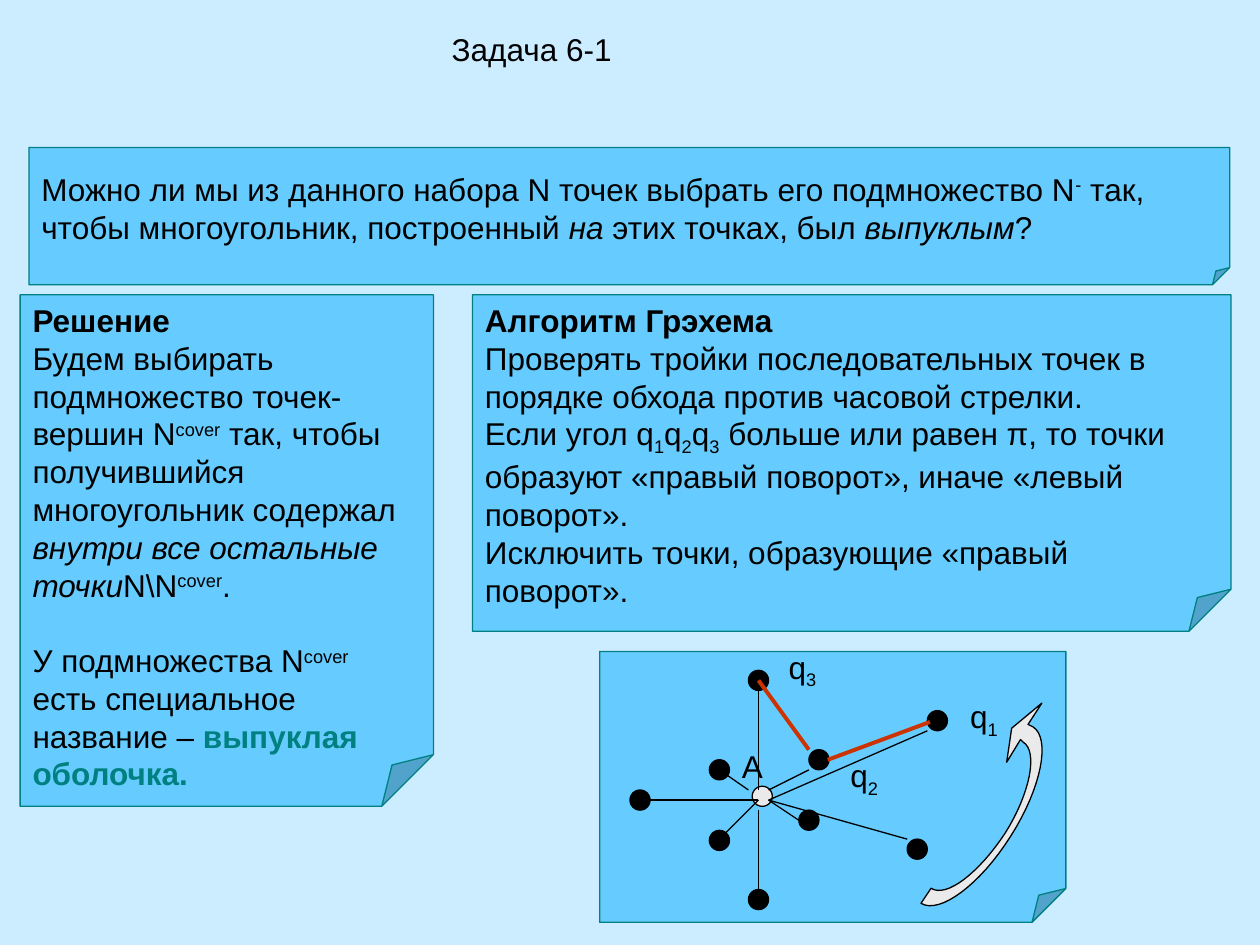
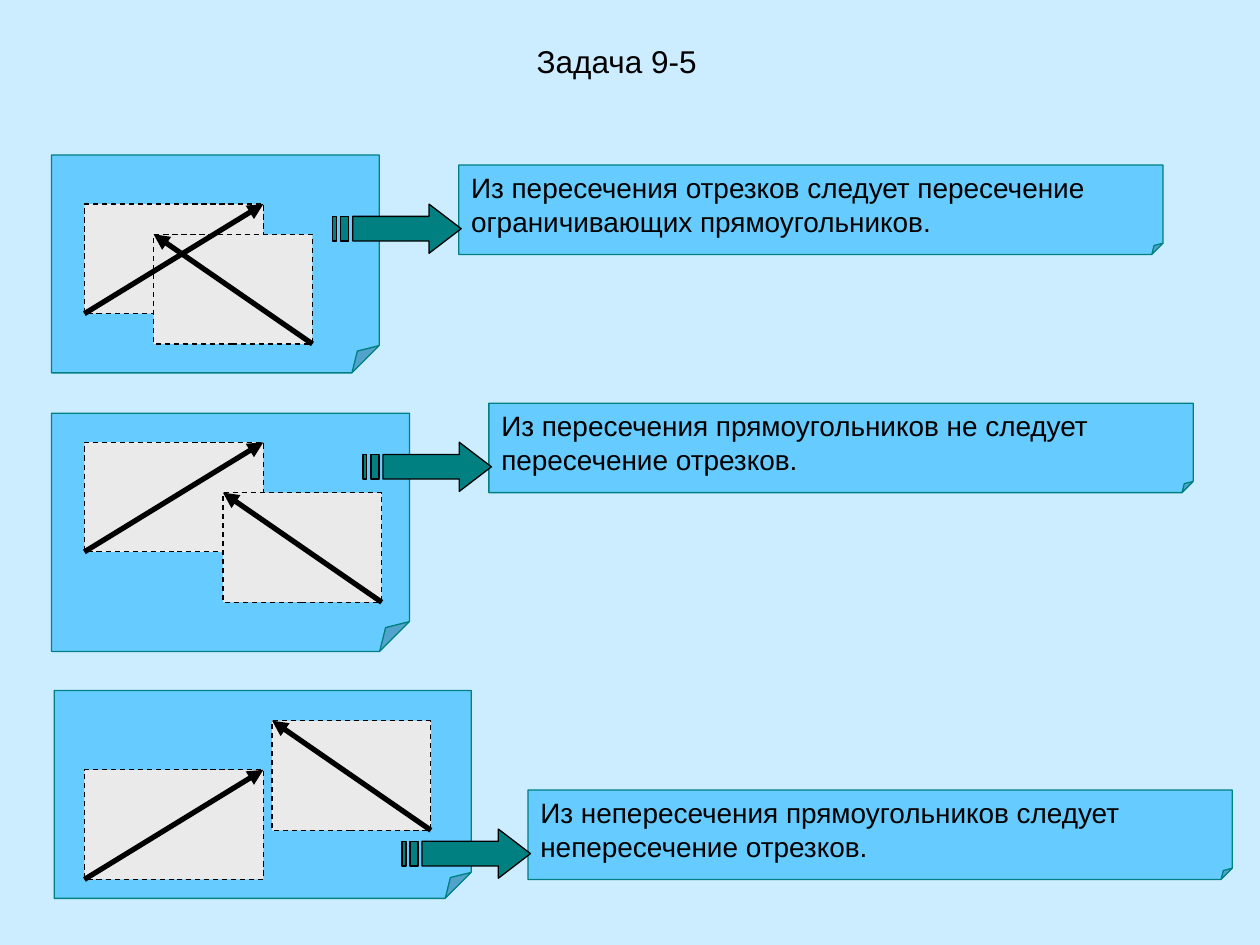
from collections import namedtuple

from lxml import etree
from pptx import Presentation
from pptx import util as u
from pptx.dml.color import RGBColor
from pptx.enum import dml, shapes, text
from pptx.oxml import ns

# Slide grid: 100 columns by 75 rows
COLUMNS, ROWS = 100, 75
WIDTH, HEIGHT = u.Inches(10), u.Inches(7.5)
CELL = WIDTH // COLUMNS

SKY, PANEL, TEAL = "CCECFF", "66CCFF", "008080"
PALE, INK, RED = "EAEAEA", "000000", "CC3300"
FONT, HAIRLINE, TITLE_SIZE = "Arial", 0.75, 18
FOLD = 0.125

BOLD, ITALIC = {"bold": True}, {"italic": True}
SUPER, SUB = 30, -25

Box = namedtuple("Box", "x y w h")


def inside(box, x, y, w=0, h=0):
    return Box(box.x + x, box.y + y, w, h)


def emu(*cells):
    return [round(cell * CELL) for cell in cells]


def color(hex_value):
    return RGBColor.from_string(hex_value)


def assign(target, values):
    for name, value in values.items():
        setattr(target, name, value)


def paint(shape, fill, line=INK, width=HAIRLINE, dash=None):
    shape.shadow.inherit = False
    shape.fill.solid()
    shape.fill.fore_color.rgb = color(fill)
    shape.line.color.rgb = color(line)
    assign(shape.line, {"width": u.Pt(width), "dash_style": dash})


def write(frame, paragraphs, size=18, anchor="TOP", align="LEFT", wrap=True):
    """A paragraph is a list of runs; a run is a string or (string, style)."""
    assign(frame, {
        "word_wrap": wrap, "auto_size": text.MSO_AUTO_SIZE.NONE,
        "vertical_anchor": text.MSO_ANCHOR[anchor],
        "margin_left": u.Inches(0.1), "margin_right": u.Inches(0.1),
        "margin_top": u.Inches(0.05), "margin_bottom": u.Inches(0.05)})
    for index, runs in enumerate(paragraphs):
        paragraph = frame.add_paragraph() if index else frame.paragraphs[0]
        paragraph.alignment = text.PP_ALIGN[align]
        for item in runs:
            words, style = (item, {}) if isinstance(item, str) else item
            run = paragraph.add_run()
            run.text = words
            if isinstance(style, int):
                run._r.get_or_add_rPr().set("baseline", str(style * 1000))
                style = {}
            values = {"name": FONT, "size": u.Pt(size), **style}
            run.font.color.rgb = color(values.pop("color", INK))
            assign(run.font, values)


def add_preset(slide, kind, box, fill, **look):
    shape = slide.shapes.add_shape(kind, *emu(*box))
    paint(shape, fill, **look)
    return shape


def add_panel(slide, box, paragraphs=(), **layout):
    panel = add_preset(slide, shapes.MSO_SHAPE.FOLDED_CORNER, box, PANEL, line=TEAL)
    # The library lists no adjustment for this preset
    geometry = panel._element.spPr.find(ns.qn("a:prstGeom"))
    for guides in geometry.findall(ns.qn("a:avLst")):
        geometry.remove(guides)
    guides = etree.SubElement(geometry, ns.qn("a:avLst"))
    etree.SubElement(guides, ns.qn("a:gd"), name="adj", fmla=f"val {FOLD * 100000:.0f}")
    write(panel.text_frame, paragraphs, **layout)
    return panel


def add_line(slide, box, start, end, line=INK, width=HAIRLINE, arrow=False):
    first, last = inside(box, *start), inside(box, *end)
    connector = slide.shapes.add_connector(
        shapes.MSO_CONNECTOR.STRAIGHT, *emu(first.x, first.y, last.x, last.y))
    connector.line.color.rgb = color(line)
    connector.line.width = u.Pt(width)
    if arrow:
        outline = connector.line._get_or_add_ln()
        etree.SubElement(outline, ns.qn("a:tailEnd"), type="triangle")
    etree.SubElement(connector._element.spPr, ns.qn("a:effectLst"))


def add_outline(slide, box, contours, fill):
    """Closed contours, each a list of points relative to the box."""
    placed = [[emu(box.x + x, box.y + y) for x, y in points] for points in contours]
    builder = slide.shapes.build_freeform(*placed[0][0], scale=1.0)
    for index, points in enumerate(placed):
        if index:
            builder.move_to(*points[0])
        builder.add_line_segments(points[1:], close=True)
    paint(builder.convert_to_shape(), fill)


def curve(p0, p1, p2, p3, steps=16):
    """Points of a cubic curve after its start."""
    shares = [step / steps for step in range(1, steps + 1)]
    return [tuple((1 - t) ** 3 * a + 3 * (1 - t) ** 2 * t * b
                  + 3 * (1 - t) * t ** 2 * c + t ** 3 * d
                  for a, b, c, d in zip(p0, p1, p2, p3)) for t in shares]


def new_slide(prs, heading, box):
    slide = prs.slides.add_slide(prs.slide_layouts[5])
    title = slide.shapes.title
    assign(title, dict(zip(("left", "top", "width", "height"), emu(*box))))
    write(title.text_frame, [[heading]], size=TITLE_SIZE, align="CENTER", wrap=False)
    return slide


# --- Convex hull slide ---

QUESTION = [[
    "Можно ли мы из данного набора N точек выбрать его подмножество N", ("-", SUPER),
    " так, чтобы многоугольник, построенный ", ("на", ITALIC),
    " этих точках, был ", ("выпуклым", ITALIC), "?"]]

SOLUTION = [
    [("Решение", BOLD)],
    ["Будем выбирать подмножество точек-вершин N", ("cover", SUPER),
     " так, чтобы получившийся многоугольник содержал ",
     ("внутри все остальные точки", ITALIC), "N\\N", ("cover", SUPER), "."],
    ["У подмножества N", ("cover", SUPER), " есть специальное название – ",
     ("выпуклая оболочка.", {"bold": True, "color": TEAL})]]

GRAHAM = [
    [("Алгоритм Грэхема", BOLD)],
    ["Проверять тройки последовательных точек в порядке обхода "
     "против часовой стрелки."],
    ["Если угол q", ("1", SUB), "q", ("2", SUB), "q", ("3", SUB),
     " больше или равен π, то точки образуют «правый поворот», "
     "иначе «левый поворот»."],
    ["Исключить точки, образующие «правый поворот»."]]

DOT = 1.6
POINTS = [(2.4, 11), (8.7, 14.2), (8.7, 8.6), (24.4, 14.9), (16.6, 7.8),
          (26, 4.7), (11.8, 1.5), (11.8, 18.9), (15.8, 12.6)]
CENTRE = (12.1, 10.7)
SPOKES = [((12.6, 12.6), (12.6, 18.9)), ((12.6, 11.8), (9.5, 14.9)),
          ((12.6, 11.8), (4, 11.8)), ((11.8, 11), (9.5, 9.4)),
          ((13.4, 11.8), (15.8, 13.4)), ((13.4, 11), (16.6, 9.4)),
          ((13.4, 11.8), (26, 6.3)), ((13.4, 11.8), (24.4, 14.9)),
          ((12.6, 11), (12.6, 3.1))]
TURN = [((16.6, 7.8), (12.6, 2.3)), ((18.1, 8.6), (26.2, 5.6))]
LABELS = [(["q", ("1", SUB)], (28.4, 3.1, 4.9, 4.4)),
          (["q", ("2", SUB)], (18.9, 7.8, 4.9, 4.4)),
          (["q", ("3", SUB)], (14, -0.8, 4.9, 4.4)),
          (["А"], (10.3, 7.1, 3.1, 4))]


def add_sweep_arrow(slide, box):
    inner, inner_mid, inner_end = (33.6, 7.2), (32.2, 14.4), (26.3, 18.8)
    outer, outer_mid, outer_end = (25.5, 20), (32.6, 14.7), (34.4, 6)
    head = [(34, 5.8), (35.1, 4.1), (32.7, 6.1), (32.3, 8.8)]
    add_outline(slide, box, [[
        (33.4, 7), inner,
        *curve(inner, (34.8, 7.9), (34.2, 11.2), inner_mid),
        *curve(inner_mid, (30.1, 17.6), (27.5, 19.6), inner_end),
        outer,
        *curve(outer, (27, 20.9), (30.2, 18.5), outer_mid),
        *curve(outer_mid, (35.1, 10.8), (35.8, 6.9), outer_end),
        *head]], PALE)


def add_point_diagram(slide, box):
    add_panel(slide, box)
    # Points of the set, then the pole
    for place, fill in [(point, INK) for point in POINTS] + [(CENTRE, PALE)]:
        add_preset(slide, shapes.MSO_SHAPE.OVAL, inside(box, *place, DOT, DOT), fill)
    # Point names
    for runs, place in LABELS:
        label = slide.shapes.add_textbox(*emu(*inside(box, *place)))
        write(label.text_frame, [runs])
    # Rays from the pole and the tested turn
    for start, end in SPOKES:
        add_line(slide, box, start, end)
    for start, end in TURN:
        add_line(slide, box, start, end, line=RED, width=2.25)
    add_sweep_arrow(slide, box)


def build_hull_slide(prs):
    slide = new_slide(prs, "Задача 6-1", Box(28.1, 1.9, 28.2, 7))
    add_panel(slide, Box(2.3, 11.7, 95.3, 10.9), QUESTION, anchor="MIDDLE")
    solution = add_panel(slide, Box(1.6, 23.4, 32.8, 40.6), SOLUTION)
    solution.text_frame.paragraphs[-1].space_before = u.Pt(21.5)
    add_panel(slide, Box(37.5, 23.4, 60.2, 26.7), GRAHAM)
    add_point_diagram(slide, Box(47.6, 51.7, 37, 21.5))


# --- Segment intersection slide ---

RISING, FALLING = (14.2, 8.7), (12.6, 8.7)
NOTE = (55.9, 7.1)
ARROW = (10.2, 3.9)
# Panel, rising and falling rectangles within it, corner of the note, note
CASES = [
    (Box(4.1, 12.3, 26, 17.3), (2.6, 3.9), (8.1, 6.3), (36.4, 13.1),
     "Из пересечения отрезков следует пересечение ограничивающих прямоугольников."),
    (Box(4.1, 32.8, 28.4, 18.9), (2.6, 2.3), (13.6, 6.3), (38.8, 32),
     "Из пересечения прямоугольников не следует пересечение отрезков."),
    (Box(4.3, 54.8, 33.1, 16.5), (2.4, 6.3), (17.3, 2.4), (41.9, 62.7),
     "Из непересечения прямоугольников следует непересечение отрезков.")]


def add_striped_arrow(slide, box):
    w, h = box.w, box.h
    top, bottom, neck = h / 4, h * 3 / 4, w * 0.75
    bars = [[(w * left, top), (w * left, bottom), (w * right, bottom), (w * right, top)]
            for left, right in ((2 / 32, 4 / 32), (0, 1 / 32))]
    tail = w * 5 / 32
    body = [(neck, 0), (neck, top), (tail, top), (tail, bottom),
            (neck, bottom), (neck, h), (w, h / 2)]
    add_outline(slide, box, [body, *bars], TEAL)


def add_case(slide, panel, rising, falling, note_corner, conclusion):
    add_panel(slide, panel)
    # Bounding rectangles under their segments
    up = inside(panel, *rising, *RISING)
    down = inside(panel, *falling, *FALLING)
    for bounds in (up, down):
        add_preset(slide, shapes.MSO_SHAPE.RECTANGLE, bounds, PALE,
                   dash=dml.MSO_LINE.DASH)
    add_line(slide, up, (0, up.h), (up.w, 0), width=3, arrow=True)
    add_line(slide, down, (down.w, down.h), (0, 0), width=3, arrow=True)
    # Conclusion and the arrow that leads to it
    note = Box(*note_corner, *NOTE)
    add_panel(slide, note, [[conclusion]], size=16, anchor="MIDDLE")
    add_striped_arrow(slide, inside(note, -10, 3.1, *ARROW))


def build_segments_slide(prs):
    slide = new_slide(prs, "Задача 9-5", Box(34.1, 2.8, 29.7, 6.8))
    for case in CASES:
        add_case(slide, *case)


def main():
    prs = Presentation()
    assign(prs, {"slide_width": WIDTH, "slide_height": HEIGHT})
    backdrop = prs.slide_master.background.fill
    backdrop.solid()
    backdrop.fore_color.rgb = color(SKY)
    build_hull_slide(prs)
    build_segments_slide(prs)
    prs.save("out.pptx")


if __name__ == "__main__":
    main()
